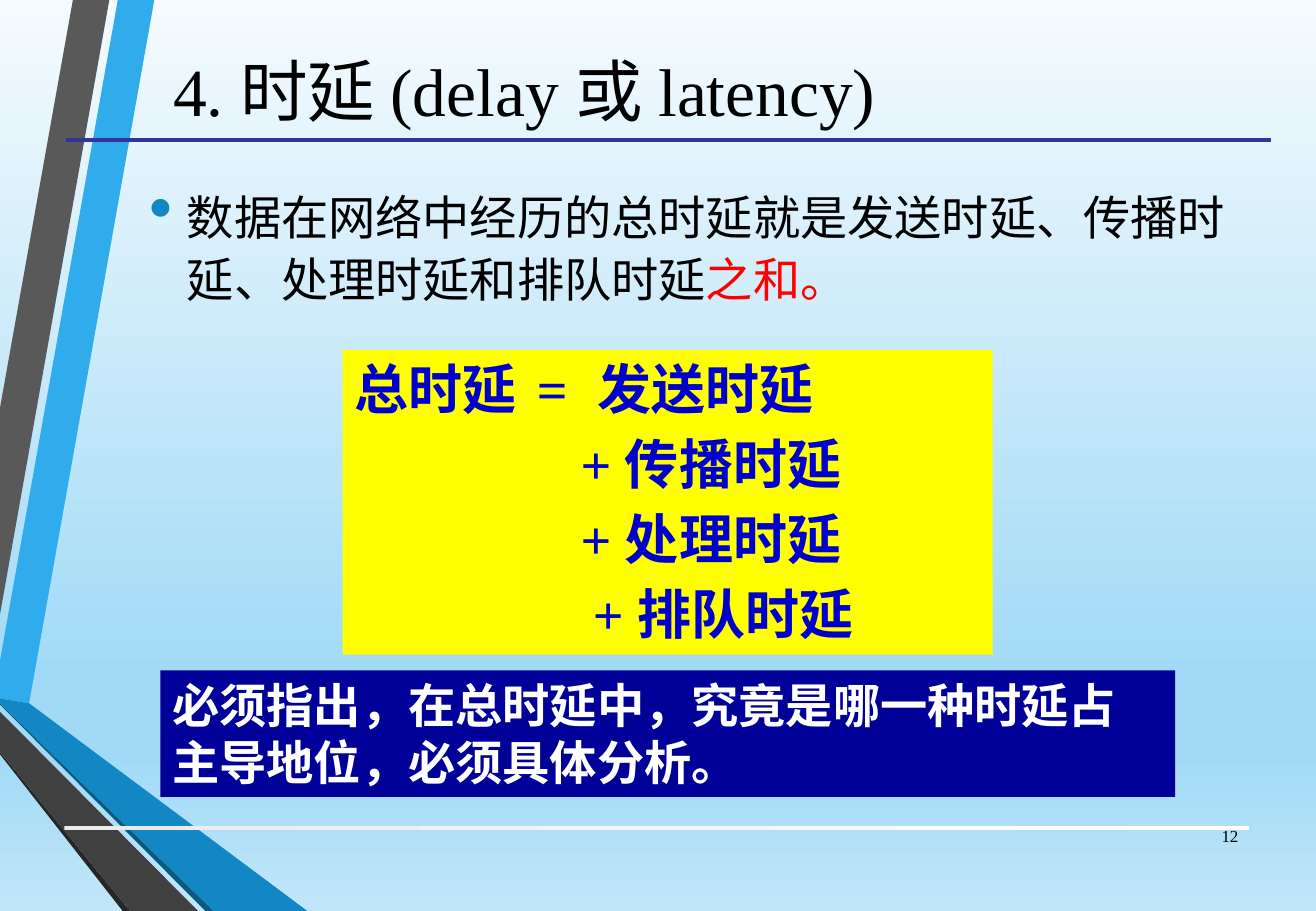
"""Build the slide on total network delay."""
from copy import deepcopy
from dataclasses import dataclass
from typing import Any, Optional

from lxml import etree
from pptx import Presentation
from pptx.dml.color import RGBColor
from pptx.dml.fill import FillFormat
from pptx.enum.shapes import MSO_CONNECTOR, MSO_SHAPE
from pptx.enum.text import MSO_ANCHOR, MSO_AUTO_SIZE, PP_ALIGN
from pptx.oxml.ns import qn
from pptx.slide import Slide
from pptx.util import Inches, Pt

STRAIGHT = MSO_CONNECTOR.STRAIGHT
RECT = MSO_SHAPE.RECTANGLE
TOP, MIDDLE = MSO_ANCHOR.TOP, MSO_ANCHOR.MIDDLE
FIXED = MSO_AUTO_SIZE.NONE
LEFT, CENTER, RIGHT = PP_ALIGN.LEFT, PP_ALIGN.CENTER, PP_ALIGN.RIGHT
FACE = "Times New Roman"

HEX = {
    "sky": "30ACEC", "slate": "595959", "coal": "262626", "deep": "0C5A82",
    "blue": "1287C3", "ash": "404040", "rule": "333399", "mist": "EBEBEB",
    "white": "FFFFFF", "black": "000000", "red": "FF0000", "yellow": "FFFF00",
    "ink": "0000CC", "navy": "000099", "dawn": "F5FBFE", "noon": "A2DAF6",
    "dusk": "C1E6F9",
}

FORMATS: dict[str, dict[str, Any]] = {
    "title": {"size": Pt(40), "name": FACE, "bold": False},
    "body": {"size": Pt(28), "name": FACE, "bold": False},
    "sum": {"size": Pt(32), "name": FACE, "bold": True},
    "note": {"size": Pt(28), "name": FACE, "bold": True},
    "number": {"size": Pt(10), "name": FACE, "bold": False},
}

Place = tuple[float, float, float, float]
Stops = list[tuple[float, str]]


@dataclass
class Band:
    """A closed outline in one colour."""
    hue: str
    points: list[tuple[float, float]]


@dataclass
class Para:
    """A paragraph of coloured runs."""
    runs: list[tuple[str, str]]
    align: Any = LEFT
    indent: float = 0
    tabs: tuple[float, ...] = ()
    bullet: str = ""
    space: float = 1
    before: float = 0


@dataclass
class Box:
    """A block of text with one format."""
    style: str
    at: Place
    paras: list[Para]
    anchor: Any = MIDDLE
    fill: Optional[str] = None


BANDS = [
    Band("sky", [(0, 5.44), (0, 5.75), (0.24, 5.79), (1.27, 0), (0.97, 0)]),
    Band("slate", [(0.9, 0), (0.6, 0), (0, 3.36), (0, 5.06)]),
    Band("coal", [(0, 6.19), (0, 6.21), (1.01, 7.5), (1.07, 7.5)]),
    Band("deep", [(0, 5.79), (0, 5.8), (1.69, 7.5), (1.76, 7.5)]),
    Band("blue", [(0, 5.79), (1.76, 7.5), (2.53, 7.5), (0.24, 5.79), (0, 5.75)]),
    Band("ash", [(0, 6.19), (1.07, 7.5), (1.63, 7.5), (0, 5.86)]),
]

TERMS = [("传播时延", 1.86), ("处理时延", 1.86), ("排队时延", 1.96)]

BOXES = [
    Box("title", (-0.25, -0.35, 9.13, 2.17),
        [Para([("4. 时延 (delay 或 latency)", "black")], CENTER)]),
    Box("body", (1.13, 1.07, 9.13, 1.89), [Para(
        [("数据在网络中经历的总时延就是发送时延、传播时延、处理时延和排队时延", "black"),
         ("之和。", "red")], indent=0.31, bullet="•", space=1.1)]),
    Box("sum", (2.82, 2.88, 5.35, 2.51),
        [Para([("总时延\t=\t发送时延", "ink")], tabs=(1.63, 2.67))]
        + [Para([(f"+ {term}", "ink")], indent=left, before=6)
           for term, left in TERMS], TOP, "yellow"),
    Box("note", (1.32, 5.52, 8.35, 1.04), [Para(
        [("必须指出，在总时延中，究竟是哪一种时延占主导地位，必须具体分析。", "white")])],
        TOP, "navy"),
    Box("number", (9.78, 6.68, 0.51, 0.4), [Para([("12", "black")], RIGHT)]),
]


def tint(name: str) -> RGBColor:
    """Return a named colour."""
    return RGBColor.from_string(HEX[name])


def blend(fill: FillFormat, node: Any, stops: Stops, angle: float) -> None:
    """Fill with a linear gradient of the given stops."""
    fill.gradient()
    fill.gradient_angle = angle
    group = next(node.iter(qn("a:gsLst")))
    for _ in stops[2:]:
        group.append(deepcopy(group[0]))
    for stop, (spot, name) in zip(fill.gradient_stops, stops):
        stop.position = spot
        stop.color.rgb = tint(name)


def draw_band(slide: Slide, band: Band) -> None:
    """Draw one band of the side ornament."""
    (left, top), *rest = [(Inches(x), Inches(y)) for x, y in band.points]
    pen = slide.shapes.build_freeform(left, top)
    pen.add_line_segments(rest, close=True)
    shape = pen.convert_to_shape()
    shape.shadow.inherit = False
    shape.fill.solid()
    shape.fill.fore_color.rgb = tint(band.hue)
    shape.line.fill.background()


def draw_rules(slide: Slide) -> None:
    """Draw the foot bar and the line under the title."""
    bar = slide.shapes.add_shape(RECT, *map(Inches, (0.53, 6.8, 9.75, 0.03)))
    bar.shadow.inherit = False
    bar.line.fill.background()
    blend(bar.fill, bar.element, [(0, "mist"), (1, "white")], 0)
    rule = slide.shapes.add_connector(STRAIGHT, *map(Inches, (0.54, 1.15, 10.46, 1.15)))
    rule.line.color.rgb = tint("rule")
    rule.line.width = Pt(2.25)
    etree.SubElement(rule.element.spPr, qn("a:effectLst"))


def set_marks(item: Any, para: Para) -> None:
    """Set the indent, bullet and tab stops of a paragraph."""
    props = item._p.get_or_add_pPr()
    hang = -para.indent if para.bullet else 0
    props.set("marL", str(Inches(para.indent)))
    props.set("indent", str(Inches(hang)))
    if para.bullet:
        hue = etree.SubElement(props, qn("a:buClr"))
        etree.SubElement(hue, qn("a:srgbClr"), val=HEX["blue"])
        etree.SubElement(props, qn("a:buSzPct"), val="145000")
        etree.SubElement(props, qn("a:buChar"), char=para.bullet)
    if para.tabs:
        group = etree.SubElement(props, qn("a:tabLst"))
        for spot in para.tabs:
            etree.SubElement(group, qn("a:tab"), pos=str(Inches(spot)), algn="l")


def draw_box(slide: Slide, box: Box) -> None:
    """Draw a text block, using the placeholder for the title."""
    place = dict(zip(("left", "top", "width", "height"), map(Inches, box.at)))
    if box.style == "title":
        shape = slide.shapes.title
        shape.element.getparent().append(shape.element)
        for key, value in place.items():
            setattr(shape, key, value)
    else:
        shape = slide.shapes.add_textbox(**place)
    if box.fill:
        shape.fill.solid()
        shape.fill.fore_color.rgb = tint(box.fill)
    frame = shape.text_frame
    traits = {"word_wrap": True, "auto_size": FIXED, "vertical_anchor": box.anchor}
    for key, value in traits.items():
        setattr(frame, key, value)
    for index, para in enumerate(box.paras):
        item = frame.add_paragraph() if index else frame.paragraphs[0]
        set_marks(item, para)
        layout = {"alignment": para.align, "line_spacing": para.space,
                  "space_before": Pt(para.before)}
        for key, value in layout.items():
            setattr(item, key, value)
        for text, hue in para.runs:
            run = item.add_run()
            run.text = text
            run.font.color.rgb = tint(hue)
            for key, value in FORMATS[box.style].items():
                setattr(run.font, key, value)


def main() -> None:
    """Build and save the deck."""
    deck = Presentation()
    deck.slide_width, deck.slide_height = Inches(10.83), Inches(7.5)
    slide = deck.slides.add_slide(deck.slide_layouts[5])
    sky = [(0, "dawn"), (0.74, "noon"), (0.83, "noon"), (1, "dusk")]
    blend(slide.background.fill, slide.element, sky, 270)
    for band in BANDS:
        draw_band(slide, band)
    draw_rules(slide)
    for box in BOXES:
        draw_box(slide, box)
    deck.save("out.pptx")


if __name__ == "__main__":
    main()
